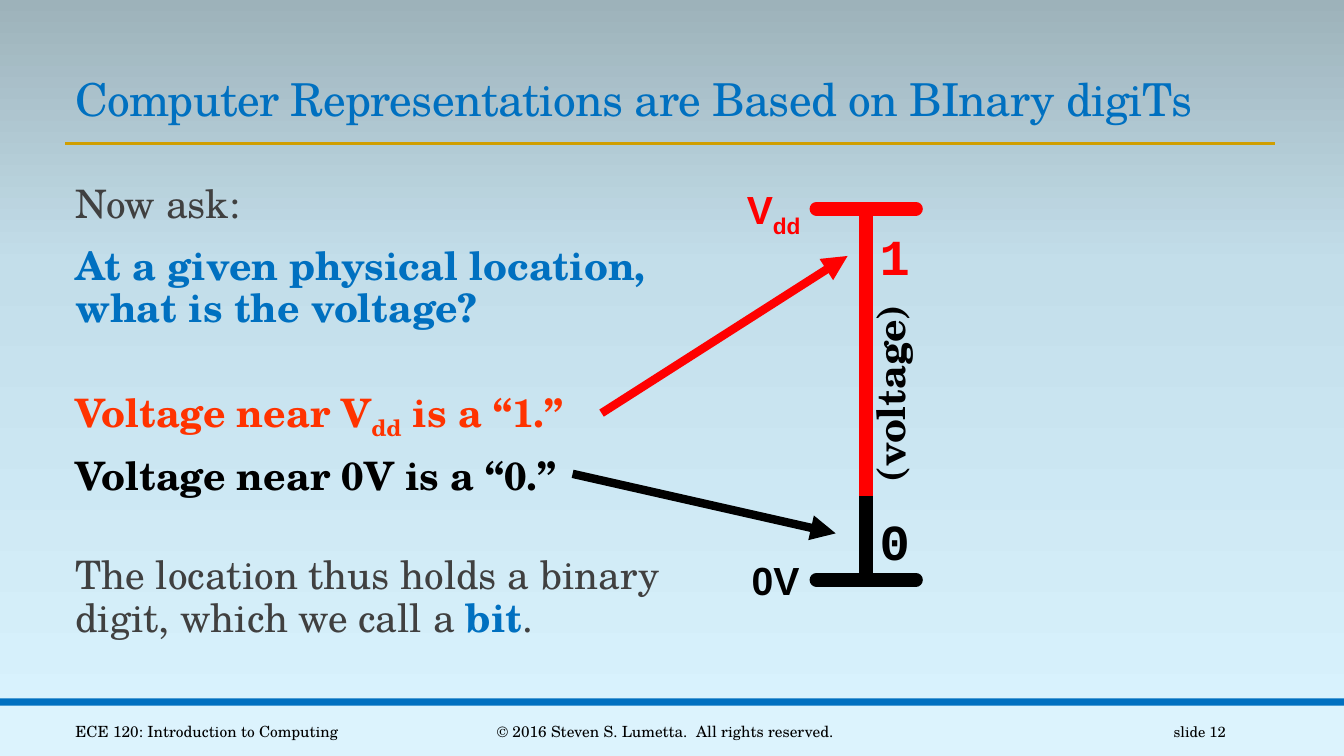
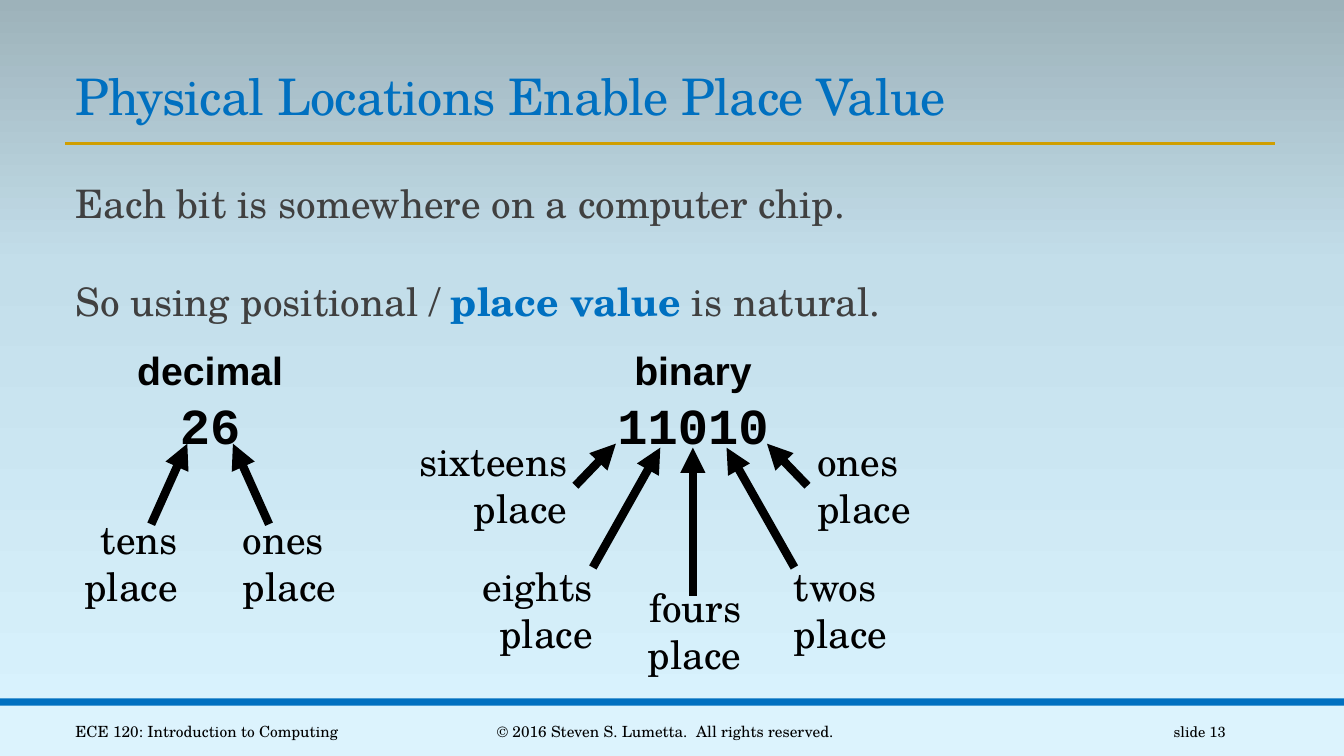
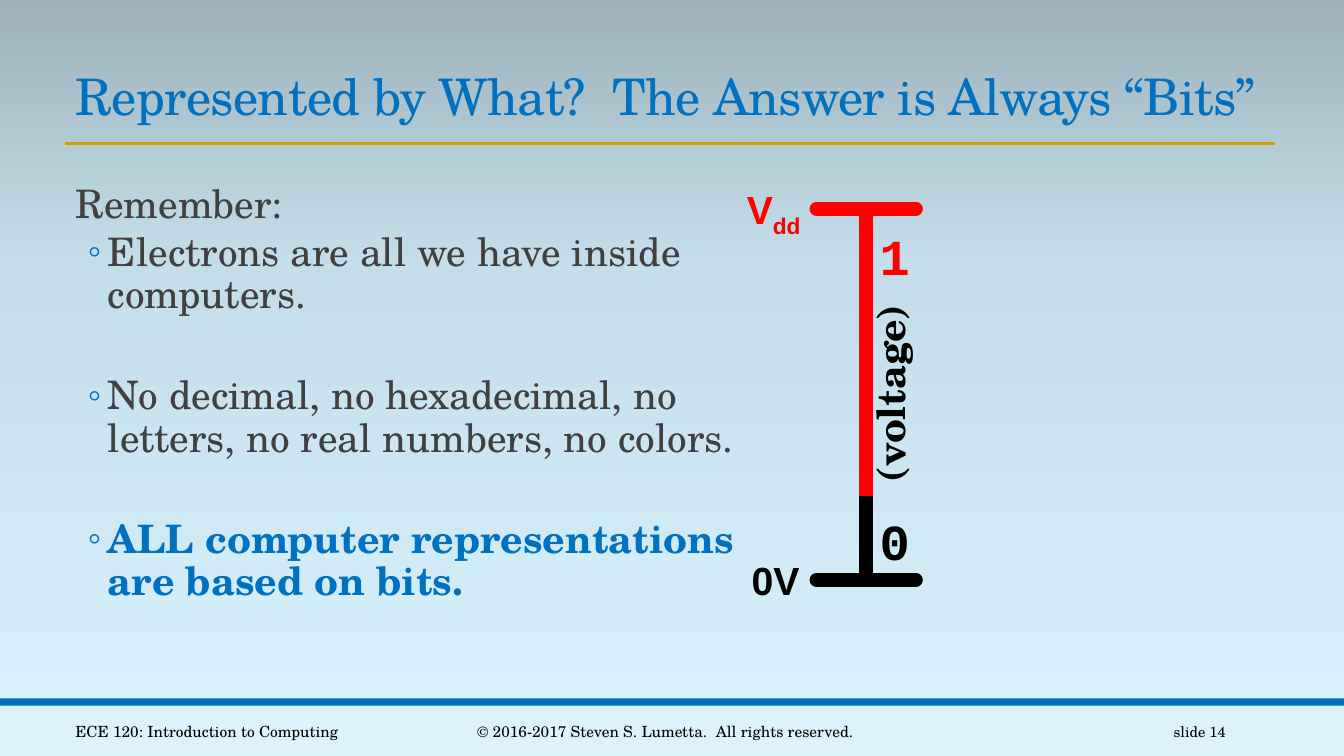
from lxml import etree
from pptx import Presentation
from pptx.dml.color import RGBColor
from pptx.enum.shapes import MSO_CONNECTOR, MSO_SHAPE
from pptx.enum.text import MSO_ANCHOR, MSO_AUTO_SIZE, PP_ALIGN
from pptx.oxml.ns import qn
from pptx.util import Cm, Pt

LEFT, CENTER, RIGHT = PP_ALIGN.LEFT, PP_ALIGN.CENTER, PP_ALIGN.RIGHT
TOP, MIDDLE, BOTTOM = MSO_ANCHOR.TOP, MSO_ANCHOR.MIDDLE, MSO_ANCHOR.BOTTOM
NO_FIT, GROW = MSO_AUTO_SIZE.NONE, MSO_AUTO_SIZE.SHAPE_TO_FIT_TEXT
RECTANGLE, STRAIGHT = MSO_SHAPE.RECTANGLE, MSO_CONNECTOR.STRAIGHT

SERIF, SANS, MONO = "TeX Gyre Schola", "Arial", "Courier New"
BLUE, GREY, BLACK, RED, ORANGE = "0070C0", "404040", "000000", "FF0000", "FF3300"
GOLD, PALE = "D09E00", "DCF3FD"
BACKGROUND = [(0, "DAF4FF"), (65, "C3DEEA"), (100, "9DB2BA")]

WIDTH, HEIGHT = 33.87, 19.05
TITLE_AT = (1.65, 1.5, 30.5, 1.8)
BODY_AT = (1.65, 4.52, 21.64, 11.79)
BANDS = [((0, 17.78, WIDTH, 1.27), PALE), ((0, 17.6, WIDTH, 0.18), BLUE)]
RULE = ((1.65, 3.61), (32.13, 3.61))
FOOTER_TOP, FOOTER_HEIGHT = 17.93, 1.02

KEY = dict(colour=BLUE, bold=True)
WARM = dict(colour=ORANGE, bold=True)
DARK = dict(colour=BLACK, bold=True)
TEXT, BULLET = 0, 1

SLIDES = [
    dict(
        title="Computer Representations are Based on BInary digiTs",
        title_size=32.4, number=12, years="2016",
        body=[
            (TEXT, 12, [("Now ask:", {})]),
            (TEXT, 12, [("At a given physical location,\nwhat is the voltage?", KEY)]),
            (TEXT, 39, [("Voltage near V", WARM), ("dd", dict(WARM, subscript=True)),
                        (" is a “1.”", WARM)]),
            (TEXT, 12, [("Voltage near 0V is a “0.”", DARK)]),
            (TEXT, 39, [("The location thus holds a binary\ndigit, which we call a ", {}),
                        ("bit", KEY), (".", {})]),
        ],
    ),
    dict(
        title="Physical Locations Enable Place Value",
        title_size=36, number=13, years="2016",
        body=[
            (TEXT, 12, [("Each bit is somewhere on a computer chip.", {})]),
            (TEXT, 38, [("So using positional / ", {}), ("place value ", KEY),
                        ("is natural.", {})]),
        ],
    ),
    dict(
        title="Represented by What?  The Answer is Always “Bits”",
        title_size=36, number=14, years="2016-2017",
        body=[
            (TEXT, 12, [("Remember:", {})]),
            (BULLET, 2, [("Electrons are all we have inside\ncomputers.", {})]),
            (BULLET, 38, [("No decimal, no hexadecimal, no\n"
                           "letters, no real numbers, no colors.", {})]),
            (BULLET, 38, [("ALL computer representations\nare based on bits.", KEY)]),
        ],
    ),
]

SCALE_LEFT, SCALE_MIDDLE, SCALE_RIGHT = 20.58, 21.83, 23.08
SCALE_TOP, SCALE_SPLIT, SCALE_BOTTOM = 5.26, 12.5, 14.61
SCALE_ENDS = [(SCALE_TOP, RED), (SCALE_BOTTOM, BLACK)]
SCALE_LABELS = [
    ((21.92, 5.54, 1.3, 1.8), [("1", dict(font=MONO, size=36, colour=RED))], None),
    ((21.92, 12.73, 1.3, 1.8), [("0", dict(font=MONO, size=36))], None),
    ((18.57, 4.55, 1.98, 1.45), [("V", dict(font=SANS, colour=RED)),
                                 ("dd", dict(font=SANS, colour=RED, subscript=True))], None),
    ((18.69, 13.89, 1.73, 1.45), [("0V", dict(font=SANS))], None),
    ((21.72, 7.57, 1.7, 4.83), [("(voltage)", {})], "vert270"),
]
ANSWER_ARROWS = [((15.16, 10.41), (21.36, 6.45), RED),
                 ((14.43, 11.94), (21.06, 13.44), BLACK)]

NUMERALS = [("decimal", "26", 3.07), ("binary", "11010", 15.24)]
PLACES = [
    ("tens", (1.83, 12.85), 2.9, RIGHT, (3.81, 13.21), (4.72, 11.18)),
    ("ones", (5.87, 12.85), 2.9, LEFT, (6.78, 13.21), (5.87, 11.18)),
    ("sixteens", (10.26, 10.9), 4.29, RIGHT, (14.5, 12.24), (15.52, 11.18)),
    ("eights", (11.86, 14.05), 3.33, RIGHT, (14.94, 14.3), (16.64, 11.28)),
    ("fours", (16.03, 14.58), 2.9, RIGHT, (17.46, 15.01), (17.46, 11.28)),
    ("twos", (19.76, 14.05), 2.9, LEFT, (20.02, 14.3), (18.31, 11.28)),
    ("ones", (20.35, 10.9), 2.9, LEFT, (20.35, 12.24), (19.33, 11.18)),
]


def rgb(colour):
    return RGBColor.from_string(colour)


def lengths(values):
    return [Cm(value) for value in values]


def add_text(para, text, font=SERIF, size=28, colour=BLACK, bold=False,
             subscript=False, spacing=None):
    for index, line in enumerate(text.split("\n")):
        if index:
            para.add_line_break()
        span = para.add_run()
        span.text = line
        span.font.name, span.font.size, span.font.bold = font, Pt(size), bold
        span.font.color.rgb = rgb(colour)
        if subscript:
            span.font._element.set("baseline", "-25000")
        if spacing is not None:
            span.font._element.set("spc", str(spacing))


def add_label(page, at, paragraphs, align=LEFT, anchor=TOP, wrap=False, turn=None):
    box = page.shapes.add_textbox(*lengths(at))
    frame = box.text_frame
    frame.word_wrap, frame.vertical_anchor = wrap, anchor
    frame.auto_size = NO_FIT if wrap else GROW
    if turn:
        box.element.xpath(".//a:bodyPr")[0].set("vert", turn)
    for index, spans in enumerate(paragraphs):
        para = frame.add_paragraph() if index else frame.paragraphs[0]
        para.alignment = align
        for text, style in spans:
            add_text(para, text, **style)


def add_line(page, start, end, colour=BLACK, width=6, arrow=False, rounded=False):
    line = page.shapes.add_connector(STRAIGHT, *lengths(start + end))
    line.line.color.rgb = rgb(colour)
    line.line.width = Pt(width)
    outline = line.element.xpath(".//a:ln")[0]
    if rounded:
        outline.set("cap", "rnd")
    if arrow:
        etree.SubElement(outline, qn("a:tailEnd"), type="triangle")
    etree.SubElement(line.element.spPr, qn("a:effectLst"))
    return line


def add_band(page, at, colour):
    band = page.shapes.add_shape(RECTANGLE, *lengths(at))
    band.shadow.inherit = False
    band.fill.solid()
    band.fill.fore_color.rgb = rgb(colour)
    band.line.fill.background()
    return band


def style_layout(deck, layout):
    fill = deck.slide_master.background.fill
    fill.gradient()
    fill.gradient_angle = 90
    stops = deck.slide_master.element.xpath(".//p:bg//a:gsLst")[0]
    for stop in list(stops):
        stops.remove(stop)
    for position, colour in BACKGROUND:
        stop = etree.SubElement(stops, qn("a:gs"), pos=str(position * 1000))
        etree.SubElement(stop, qn("a:srgbClr"), val=colour)
    for holder, at, anchor in zip(layout.placeholders, (TITLE_AT, BODY_AT), (BOTTOM, TOP)):
        holder.left, holder.top, holder.width, holder.height = lengths(at)
        holder.text_frame.vertical_anchor = anchor
        holder.text_frame.auto_size = NO_FIT
    body = layout.placeholders[1].text_frame
    body.margin_left = body.margin_right = 0


def decorate_master(deck, page):
    parts = [add_band(page, at, colour) for at, colour in BANDS]
    parts.append(add_line(page, *RULE, colour=GOLD, width=2))
    for number, part in enumerate(parts, 20):
        part.element.xpath(".//p:cNvPr")[0].set("id", str(number))
        deck.slide_master.shapes.element.append(part.element)


def fill_title(page, text, size):
    para = page.shapes.title.text_frame.paragraphs[0]
    para.alignment, para.line_spacing = LEFT, 0.85
    add_text(para, text, size=size, colour=BLUE, spacing=-50)


def fill_body(page, paragraphs):
    frame = page.placeholders[1].text_frame
    for index, (level, before, spans) in enumerate(paragraphs):
        para = frame.add_paragraph() if index else frame.paragraphs[0]
        para.level, para.alignment, para.line_spacing = level, LEFT, 0.9
        para.space_before = Pt(before)
        para.space_after = Pt(4 if level == BULLET else 2)
        margin, indent = (1.07, -0.51) if level == BULLET else (0.25, 0)
        settings = para._p.get_or_add_pPr()
        settings.set("marL", str(Cm(margin)))
        settings.set("indent", str(Cm(indent)))
        if level == BULLET:
            tint = etree.SubElement(settings, qn("a:buClr"))
            etree.SubElement(tint, qn("a:srgbClr"), val=BLUE)
            etree.SubElement(settings, qn("a:buChar"), char="◦")
        else:
            etree.SubElement(settings, qn("a:buNone"))
        for text, style in spans:
            add_text(para, text, **{"colour": GREY, **style})


def add_footer(page, number, years):
    parts = [
        ("ECE 120: Introduction to Computing", 1.65, 8.26, LEFT, 11),
        (f"© {years} Steven S. Lumetta.  All rights reserved.", 10.24, 13.06, CENTER, 11),
        (f"slide {number}", 27.51, 3.63, RIGHT, 10.5),
    ]
    for text, left, width, align, size in parts:
        add_label(page, (left, FOOTER_TOP, width, FOOTER_HEIGHT),
                  [[(text, dict(size=size))]], align, MIDDLE, wrap=True)


def draw_voltage_scale(page):
    for level, colour in SCALE_ENDS:
        add_line(page, (SCALE_LEFT, level), (SCALE_RIGHT, level), colour, 10, rounded=True)
        add_line(page, (SCALE_MIDDLE, SCALE_SPLIT), (SCALE_MIDDLE, level), colour, 10)
    for at, spans, turn in SCALE_LABELS:
        bold_spans = [(text, dict(style, bold=True)) for text, style in spans]
        add_label(page, at, [bold_spans], turn=turn)


def draw_answers(page):
    draw_voltage_scale(page)
    for start, end, colour in ANSWER_ARROWS:
        add_line(page, start, end, colour, arrow=True)


def draw_place_values(page):
    for name, digits, left in NUMERALS:
        add_label(page, (left, 8.61, 4.45, 3), [
            [(name, dict(font=SANS, bold=True))],
            [(digits, dict(font=MONO, size=36, bold=True))],
        ], CENTER)
    for name, corner, width, align, start, end in PLACES:
        add_line(page, start, end, arrow=True)
        add_label(page, corner + (width, 2.64), [[(name, {})], [("place", {})]], align)


def main():
    deck = Presentation()
    deck.slide_width, deck.slide_height = lengths((WIDTH, HEIGHT))
    layout = deck.slide_layouts[1]
    style_layout(deck, layout)
    drawings = (draw_answers, draw_place_values, draw_voltage_scale)
    for index, (content, draw) in enumerate(zip(SLIDES, drawings)):
        page = deck.slides.add_slide(layout)
        if index == 0:
            decorate_master(deck, page)
        fill_title(page, content["title"], content["title_size"])
        fill_body(page, content["body"])
        add_footer(page, content["number"], content["years"])
        draw(page)
    deck.save("out.pptx")


if __name__ == "__main__":
    main()
